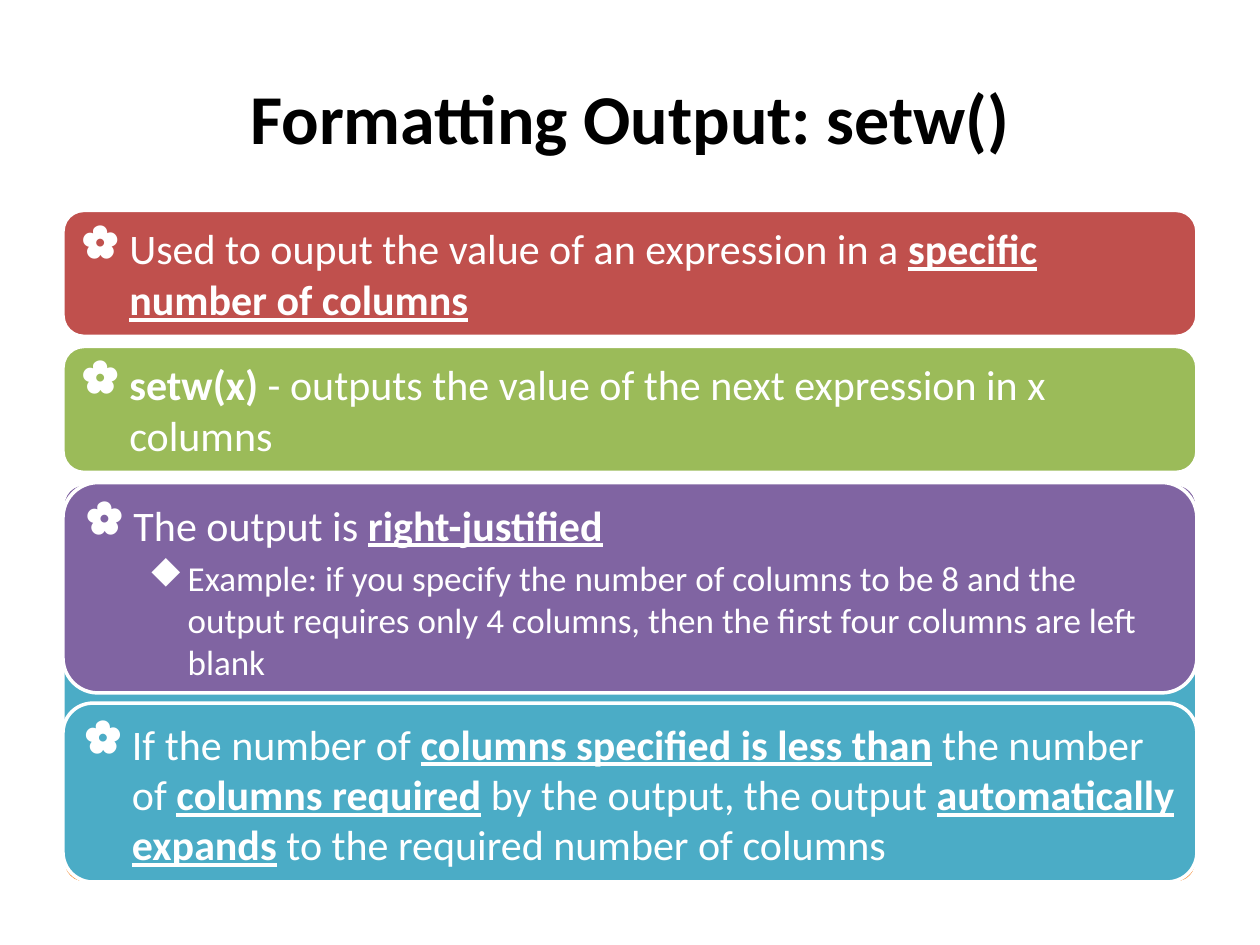
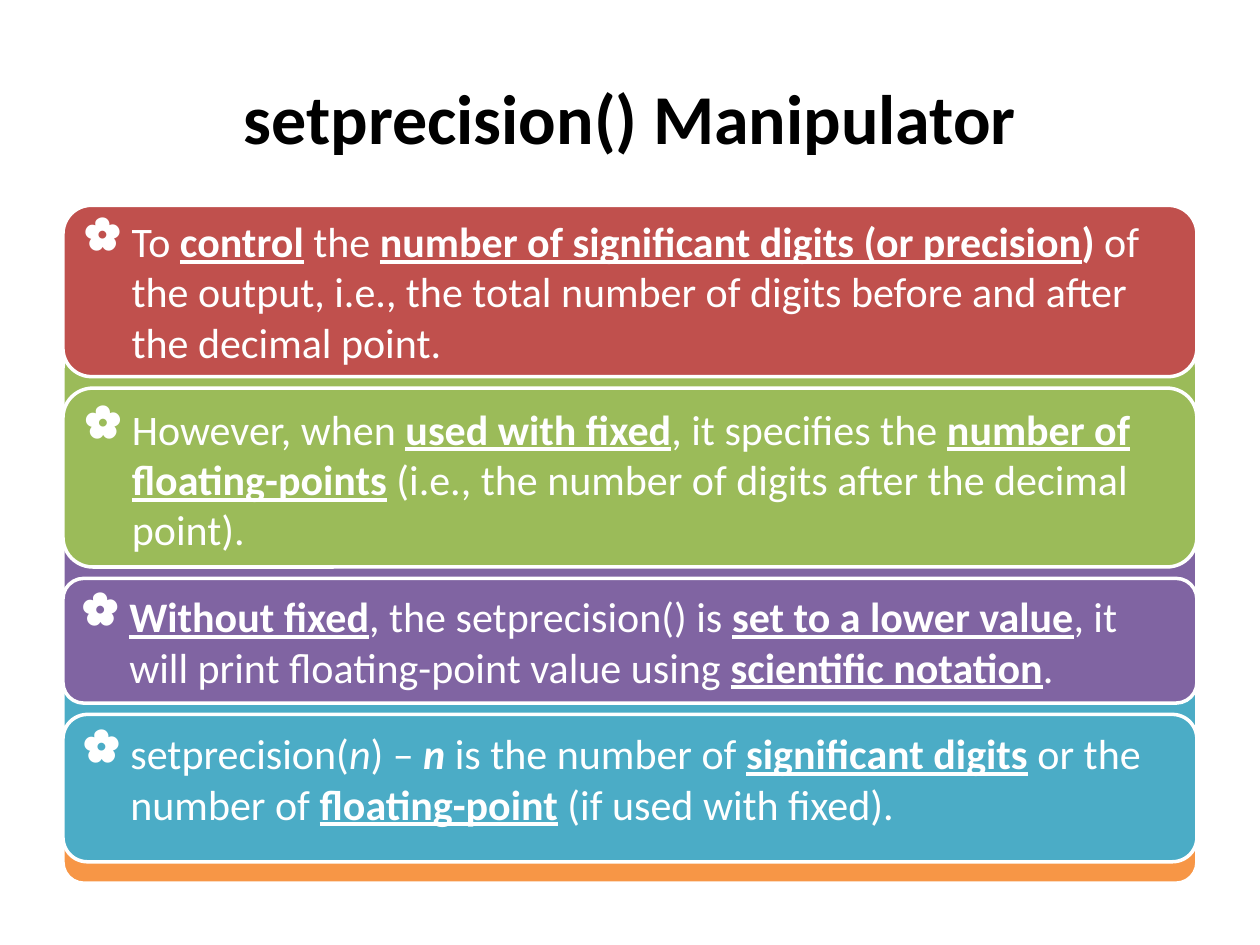
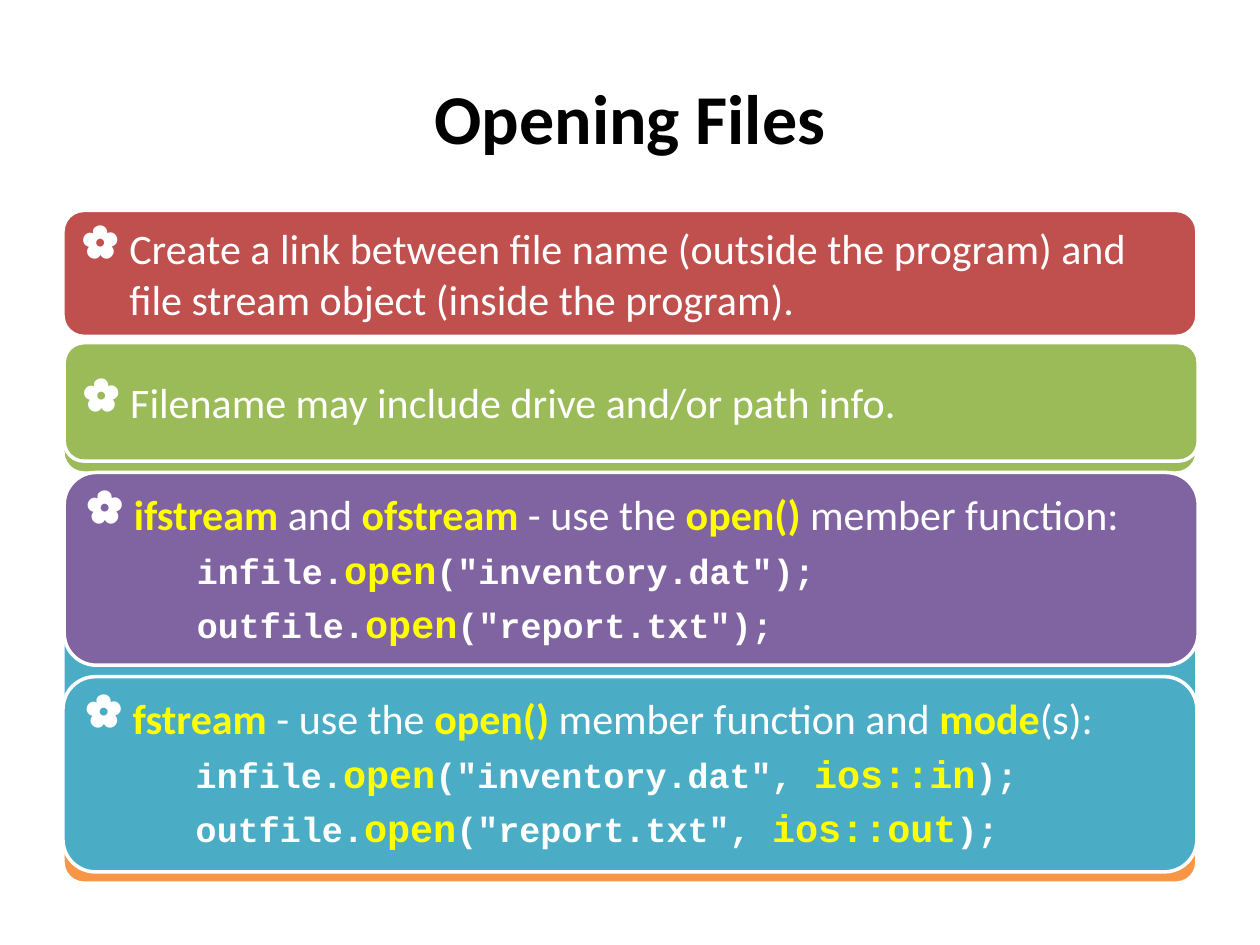
from dataclasses import dataclass

from lxml import etree
from pptx import Presentation
from pptx.dml.color import RGBColor
from pptx.enum.shapes import MSO_SHAPE
from pptx.enum.text import MSO_ANCHOR, PP_ALIGN
from pptx.oxml.ns import qn
from pptx.util import Inches, Pt

ROUNDED = MSO_SHAPE.ROUNDED_RECTANGLE
TOP, MIDDLE = MSO_ANCHOR.TOP, MSO_ANCHOR.MIDDLE
LEFT, CENTER = PP_ALIGN.LEFT, PP_ALIGN.CENTER

# Shared colours and fonts
BLACK = RGBColor(0x00, 0x00, 0x00)
WHITE = RGBColor(0xFF, 0xFF, 0xFF)
YELLOW = RGBColor(0xFF, 0xFF, 0x00)
RED = RGBColor(0xC0, 0x50, 0x4D)
GREEN = RGBColor(0x9B, 0xBB, 0x59)
PURPLE = RGBColor(0x80, 0x64, 0xA2)
TEAL = RGBColor(0x4B, 0xAC, 0xC6)
ORANGE = RGBColor(0xF7, 0x96, 0x46)
BAND_COLORS = [RED, GREEN, PURPLE, TEAL, ORANGE]
BODY_FONT, CODE_FONT = "Calibri", "Courier New"

# Bullets are symbol-font codes: "{" draws a rosette, "u" a diamond
BULLET_FONT = "Wingdings"
ROSETTE, DIAMOND = "{", "u"

# Shared grid, in inches
SLIDE_W, SLIDE_H = 10, 7.5
MARGIN = 0.05 * SLIDE_W
CONTENT_W = SLIDE_W - 2 * MARGIN
TITLE_BOX = (MARGIN, 0.04 * SLIDE_H, CONTENT_W, SLIDE_H / 6)
BANDS_TOP, BANDS_BOTTOM = 1.67, 7.01
BAND_H = 1

# Span styles
STRONG = {"bold": True}
ITALIC = {"italic": True}
STRONG_ITALIC = {"bold": True, "italic": True}
KEY = {"bold": True, "underline": True}
NAME = {"bold": True, "color": YELLOW}
CALL = {"size": Pt(22), "color": YELLOW}


@dataclass
class ParaStyle:
    size: float
    margin: float
    hanging: float = 0
    bullet: str = ""
    before: float = 0
    level: int = 0
    font: str = BODY_FONT
    bold: bool = False


POINT = ParaStyle(24, 0.38, 0.38, ROSETTE)
EXAMPLE = ParaStyle(20, 0.81, 0.31, DIAMOND, before=4, level=1)
CODE = ParaStyle(20, 0.88, before=4.4, font=CODE_FONT, bold=True)


@dataclass
class Panel:
    height: float
    paras: list  # (paragraph style, plain strings or (text, span style) pairs)
    anchor: MSO_ANCHOR = TOP
    left: float = MARGIN
    gap: float = None  # space above, where it differs from the slide's


def add_rounded_box(page, box, color):
    shape = page.shapes.add_shape(ROUNDED, *map(Inches, box))
    shape.shadow.inherit = False
    shape.fill.solid()
    shape.fill.fore_color.rgb = color
    shape.line.color.rgb = WHITE
    shape.line.width = Pt(2)
    return shape


def set_bullet(para, style):
    props = para._p.get_or_add_pPr()
    props.set("marL", str(Inches(style.margin)))
    props.set("indent", str(-Inches(style.hanging)))
    if style.bullet:
        color = etree.SubElement(props, qn("a:buClr"))
        etree.SubElement(color, qn("a:srgbClr")).set("val", str(WHITE))
        font = etree.SubElement(props, qn("a:buFont"))
        font.set("typeface", BULLET_FONT)
        font.set("pitchFamily", "2")
        font.set("charset", "2")
        etree.SubElement(props, qn("a:buChar")).set("char", style.bullet)
    else:
        etree.SubElement(props, qn("a:buNone"))


def write_span(para, text, style):
    span = para.add_run()
    span.text = text
    for name, value in style.items():
        if name == "color":
            span.font.color.rgb = value
        else:
            setattr(span.font, name, value)


def write_para(para, style, spans):
    para.alignment = LEFT
    para.level = style.level
    set_bullet(para, style)
    if style.before:
        para.space_before = Pt(style.before)
    para.font.name = style.font
    para.font.size = Pt(style.size)
    para.font.bold = style.bold
    para.font.color.rgb = WHITE
    for span in spans:
        text, span_style = (span, {}) if isinstance(span, str) else span
        write_span(para, text, span_style)


def add_title(page, text):
    title = page.shapes.title
    title.left, title.top, title.width, title.height = map(Inches, TITLE_BOX)
    title.text_frame.vertical_anchor = MIDDLE
    title.text_frame.text = text
    para = title.text_frame.paragraphs[0]
    para.alignment = CENTER
    para.font.name = BODY_FONT
    para.font.size = Pt(40)
    para.font.bold = True
    para.font.color.rgb = BLACK


def add_back_bands(page):
    """Five equal bands that show behind the text panels."""
    pitch = (BANDS_BOTTOM - BANDS_TOP - BAND_H) / (len(BAND_COLORS) - 1)
    for row, color in enumerate(BAND_COLORS):
        box = (MARGIN, BANDS_TOP + row * pitch, CONTENT_W, BAND_H)
        add_rounded_box(page, box, color)


def add_panel(page, panel, top, color):
    box = (panel.left, top, CONTENT_W, panel.height)
    frame = add_rounded_box(page, box, color).text_frame
    frame.word_wrap = True
    frame.vertical_anchor = panel.anchor
    for index, (style, spans) in enumerate(panel.paras):
        para = frame.add_paragraph() if index else frame.paragraphs[0]
        write_para(para, style, spans)


def add_panel_slide(deck, title, top, gap, panels):
    """A title above a stack of coloured panels."""
    page = deck.slides.add_slide(deck.slide_layouts[5])
    add_title(page, title)
    add_back_bands(page)
    bottom = None
    for panel, color in zip(panels, BAND_COLORS):
        if bottom is not None:
            top = bottom + (gap if panel.gap is None else panel.gap)
        add_panel(page, panel, top, color)
        bottom = top + panel.height


SETW_PANELS = [
    Panel(1, [(POINT, ["Used to ouput the value of an expression in a ",
                       ("specific number of columns", KEY)])], MIDDLE),
    Panel(1, [(POINT, [("setw(x)", STRONG),
                       " - outputs the value of the next expression in x columns"])]),
    Panel(1.67, [
        (POINT, ["The output is ", ("right-justified", KEY)]),
        (EXAMPLE, ["Example: if you specify the number of columns to be 8 and the "
                   "output requires only 4 columns, then the first four columns "
                   "are left blank"]),
    ]),
    Panel(1.42, [(POINT, [
        "If the number of ", ("columns specified is less than", KEY),
        " the number of ", ("columns required", KEY),
        " by the output, the output ", ("automatically expands", KEY),
        " to the required number of columns"])]),
]

PRECISION_PANELS = [
    Panel(1.36, [(POINT, [
        "To ", ("control", KEY), " the ",
        ("number of significant digits (or precision", KEY), (") ", STRONG),
        "of the output, i.e., the total number of digits before and after "
        "the decimal point."])], MIDDLE),
    Panel(1.42, [(POINT, [
        "However, when ", ("used with fixed", KEY), ", it specifies the ",
        ("number of floating-points", KEY),
        " (i.e., the number of digits after the decimal point)."])]),
    Panel(0.99, [(POINT, [
        ("Without fixed", KEY), ", the setprecision() is ",
        ("set to a lower value", KEY),
        ", it will print floating-point value using ",
        ("scientific notation", KEY), "."])]),
    Panel(1.17, [(POINT, [
        "setprecision(", ("n", ITALIC), ") – ", ("n", STRONG_ITALIC),
        " is the number of ", ("significant digits", KEY),
        " or the number of ", ("floating-point", KEY),
        " (if used with fixed)."])]),
]

FILE_PANELS = [
    Panel(1, [(POINT, ["Create a link between file name (outside the program) and "
                       "file stream object (inside the program)."])], MIDDLE),
    Panel(0.94, [(POINT, ["Filename may include drive and/or path info."])],
          MIDDLE, left=0.51, gap=0.05),
    Panel(1.53, [
        (POINT, [("ifstream", NAME), " and ", ("ofstream", NAME), " - use the ",
                 ("open()", NAME), " member function:"]),
        (CODE, ["infile.", ("open", CALL), '("inventory.dat");']),
        (CODE, ["outfile.", ("open", CALL), '("report.txt");']),
    ], left=0.51),
    Panel(1.55, [
        (POINT, [("fstream", NAME), " - use the ", ("open()", NAME),
                 " member function and ", ("mode", NAME), "(s):"]),
        (CODE, ["infile.", ("open", CALL), '("inventory.dat", ',
                ("ios::in", CALL), ");"]),
        (CODE, ["outfile.", ("open", CALL), '("report.txt", ',
                ("ios::out", CALL), ");"]),
    ]),
]


def main():
    deck = Presentation()
    deck.slide_width, deck.slide_height = Inches(SLIDE_W), Inches(SLIDE_H)
    add_panel_slide(deck, "Formatting Output: setw()", BANDS_TOP, 0.08, SETW_PANELS)
    add_panel_slide(deck, "setprecision() Manipulator", 1.63, 0.09, PRECISION_PANELS)
    add_panel_slide(deck, "Opening Files", BANDS_TOP, 0.09, FILE_PANELS)
    deck.save("out.pptx")


if __name__ == "__main__":
    main()
